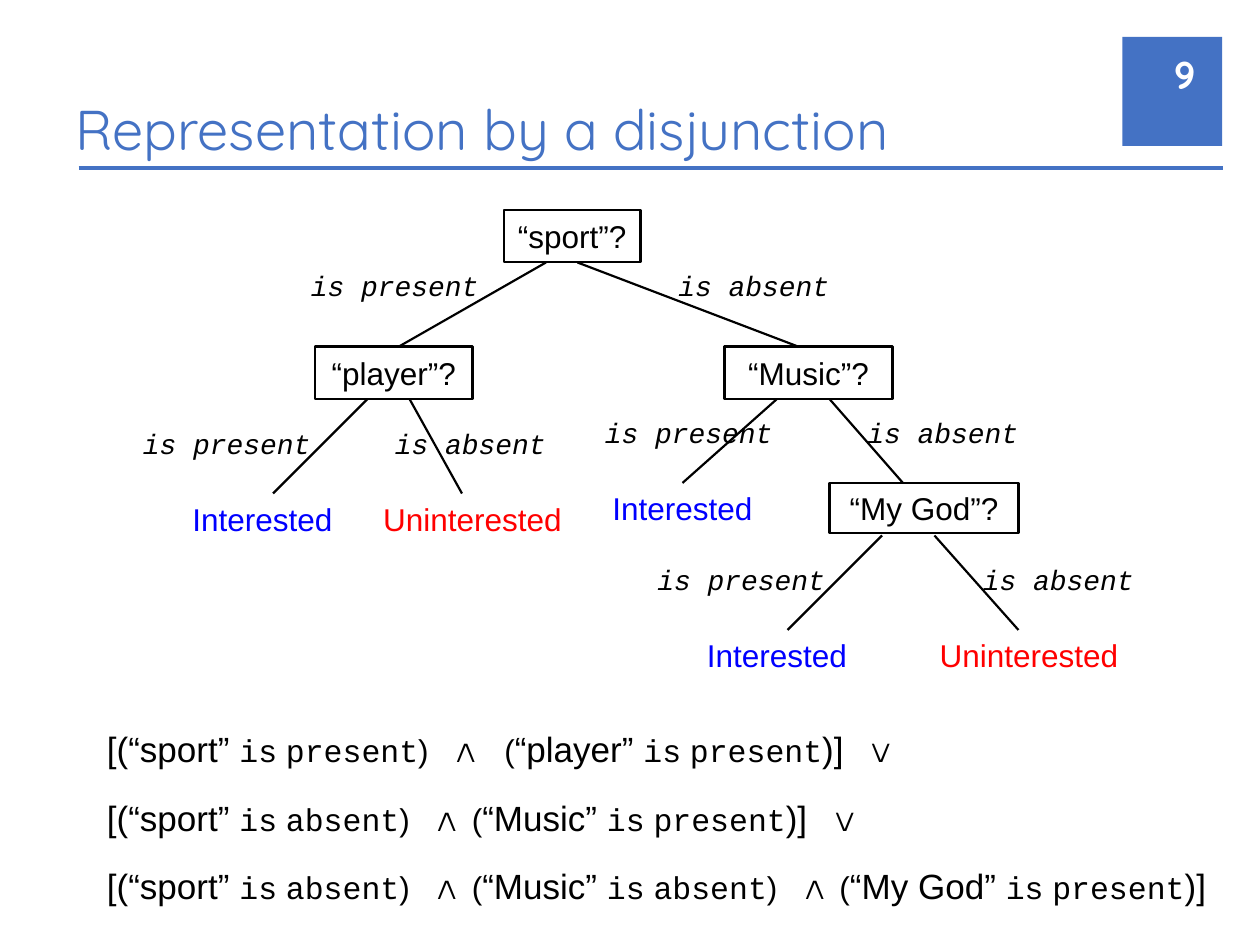
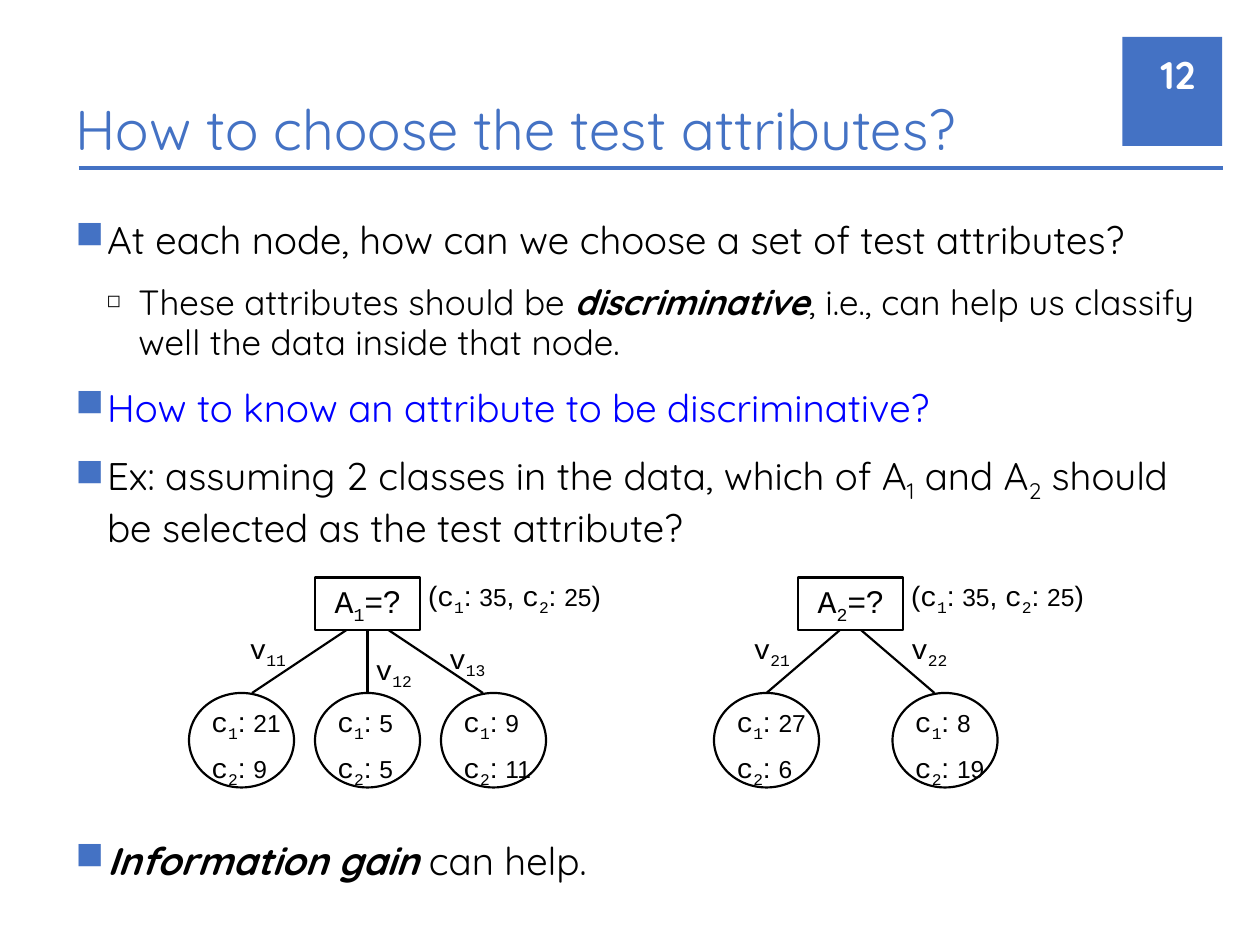
import lxml.etree
import pptx
import pptx.dml.color
import pptx.enum.shapes
import pptx.enum.text
import pptx.oxml.ns
import pptx.util

THEME = {
    "accent": "4472C4", "ink": "000000", "paper": "FFFFFF", "yes": "0000FF", "no": "FF0000",
    "heading": "Quicksand", "sans": "Arial", "mono": "Courier New",
    "title_size": 32, "body_size": 22, "detail_size": 20, "operator_size": 24,
    "node_size": 18, "label_size": 16, "count_size": 14,
    "line_width": 1.25, "rule_width": 2,
}
GRID = pptx.util.Cm(2.54) // 12
ALIGN = pptx.enum.text.PP_ALIGN
ANCHOR = pptx.enum.text.MSO_ANCHOR
SHAPES = pptx.enum.shapes.MSO_SHAPE
qn = pptx.oxml.ns.qn


def font(face, size, color="ink", **extra):
    return {"name": THEME[face], "size": pptx.util.Pt(THEME[size]), "color": THEME[color], **extra}


def add_item(slide, kind, box, paragraphs=(), inset=0.13, align=ALIGN.LEFT, anchor=ANCHOR.TOP,
             line="ink", fill=None, spacing=0):
    if kind == "line":
        shape = slide.shapes.add_connector(pptx.enum.shapes.MSO_CONNECTOR.STRAIGHT,
                                           *[round(value * GRID) for value in box])
        lxml.etree.SubElement(shape._element.spPr, qn("a:effectLst"))
        shape.line.color.rgb = pptx.dml.color.RGBColor.from_string(THEME[line])
        shape.line.width = pptx.util.Pt(THEME["line_width"])
        return shape
    place = [round(value * GRID) for value in box]
    if kind == "text":
        shape = slide.shapes.add_textbox(*place)
    else:
        shape = slide.shapes.add_shape(kind, *place)
        shape.shadow.inherit = False
        shape.fill.background()
        shape.line.fill.background()
        if fill:
            shape.fill.solid()
            shape.fill.fore_color.rgb = pptx.dml.color.RGBColor.from_string(THEME[fill])
        else:
            shape.line.color.rgb = pptx.dml.color.RGBColor.from_string(THEME[line])
            shape.line.width = pptx.util.Pt(THEME["line_width"])
    frame = shape.text_frame
    settings = {"word_wrap": True, "vertical_anchor": anchor,
                "margin_left": pptx.util.Cm(inset), "margin_right": pptx.util.Cm(inset),
                "margin_top": pptx.util.Cm(min(inset, 0.13)),
                "margin_bottom": pptx.util.Cm(min(inset, 0.13))}
    for name, value in settings.items():
        setattr(frame, name, value)
    for index, runs in enumerate(paragraphs):
        paragraph = frame.add_paragraph() if index else frame.paragraphs[0]
        paragraph.alignment = align
        if index:
            paragraph.space_before = pptx.util.Pt(spacing)
        for text, run_format in runs:
            run = paragraph.add_run()
            run.text = text
            for name, value in run_format.items():
                if name == "color":
                    run.font.color.rgb = pptx.dml.color.RGBColor.from_string(value)
                elif name == "baseline":
                    run._r.get_or_add_rPr().set("baseline", str(value))
                else:
                    setattr(run.font, name, value)
    return shape


presentation = pptx.Presentation()
presentation.slide_width = pptx.util.Cm(25.4)
presentation.slide_height = pptx.util.Cm(19.05)

title_font = font("heading", "title_size", "accent")
number_font = font("heading", "body_size", "paper", bold=True)
slides = []
for title, number in [("Representation by a disjunction", "9"),
                      ("How to choose the test attributes?", "12")]:
    slide = presentation.slides.add_slide(presentation.slide_layouts[6])
    add_item(slide, SHAPES.RECTANGLE, (106.9, 3.5, 9.5, 10.4), fill="accent")
    add_item(slide, "text", (6, 6, 111, 10), [[(title, title_font)]], inset=0.25, anchor=ANCHOR.BOTTOM)
    rule = add_item(slide, "line", (7.5, 16, 116.5, 16), line="accent")
    rule.line.width = pptx.util.Pt(THEME["rule_width"])
    add_item(slide, "text", (108.4, 4.7, 6.6, 4.8), [[(number, number_font)]], inset=0.25,
             align=ALIGN.RIGHT, anchor=ANCHOR.MIDDLE)
    slides.append(slide)
tree_slide, choice_slide = slides

node_font = font("sans", "node_size")
for text, box in [("“sport”?", (48, 20, 13, 5)), ("“player”?", (30, 33, 15, 5)),
                  ("“Music”?", (69, 33, 16, 5)), ("“My God”?", (79, 46, 18, 4.8))]:
    add_item(tree_slide, SHAPES.RECTANGLE, box, [[(text, node_font)]], align=ALIGN.CENTER,
             anchor=ANCHOR.MIDDLE)

for branch in [(52, 25, 38, 33), (55, 25, 76, 33), (35, 38, 26, 47), (39, 38, 44, 47),
               (74, 38, 65, 46), (79, 38, 86, 46), (84, 51, 75, 60), (89, 51, 97, 60)]:
    add_item(tree_slide, "line", branch)

branch_font = font("mono", "label_size", italic=True)
for text, width, corners in [("is present", 18, [(29, 25), (13, 40), (57, 39), (62, 53)]),
                             ("is absent", 17, [(64, 25), (37, 40), (82, 39), (93, 53)])]:
    for left, top in corners:
        add_item(tree_slide, "text", (left, top, width, 4.4), [[(text, branch_font)]])

for text, color, width, corners in [("Interested", "yes", 16, [(17, 47), (57, 46), (66, 60)]),
                                    ("Uninterested", "no", 20, [(35, 47), (88, 60)])]:
    for left, top in corners:
        add_item(tree_slide, "text", (left, top, width, 4.8),
                 [[(text, font("sans", "node_size", color))]], align=ALIGN.CENTER)

word_font = font("sans", "detail_size")
value_font = font("mono", "node_size")
gap_font = font("mono", "operator_size")
operator_font = font("mono", "operator_size", bold=True)
formula = []
for clause, and_gap in [([("sport", "present"), ("player", "present")], gap_font),
                        ([("sport", "absent"), ("Music", "present")], font("sans", "operator_size")),
                        ([("sport", "absent"), ("Music", "absent"), ("My God", "present")],
                         font("sans", "operator_size"))]:
    runs = []
    for index, (word, state) in enumerate(clause):
        if index:
            runs += [(")", node_font), (" ", gap_font), ("∧", operator_font), (" ", and_gap),
                     ("(", node_font)]
        else:
            runs.append(("[(", word_font))
        runs += [(f"“{word}” ", word_font), ("is", value_font), (" ", node_font), (state, value_font)]
    runs.append((")]", word_font))
    if len(formula) < 2:
        runs += [(" ", gap_font), ("∨", operator_font)]
    formula.append(runs)
add_item(tree_slide, "text", (9, 68, 110, 20), formula, inset=0.25, spacing=10.5)

body_font = font("heading", "body_size")
detail_font = font("heading", "detail_size")
strong = {"bold": True, "italic": True}
subscript = {"baseline": -25000}
points = [
    [("At each node, how can we choose a set of test attributes?", body_font)],
    [("These attributes should be ", detail_font), ("discriminative", detail_font | strong),
     (", i.e., can help us classify well the data inside that node.", detail_font)],
    [("How to know an attribute to be discriminative?", font("heading", "body_size", "yes"))],
    [("Ex: assuming 2 classes in the data, which of A", body_font), ("1", body_font | subscript),
     (" and A", body_font), ("2", body_font | subscript),
     (" should be selected as the test attribute?", body_font)],
    [("Information gain", body_font | strong), (" can help.", body_font)],
]
body = add_item(choice_slide, "text", (6, 20, 111, 70), points, inset=0.25, spacing=12)
body.text_frame.paragraphs[1].line_spacing = 0.95
body.text_frame.paragraphs[-1].space_before = pptx.util.Pt(164)
for index, paragraph in enumerate(body.text_frame.paragraphs):
    detail = index == 1
    properties = paragraph._p.get_or_add_pPr()
    properties.set("marL", str(pptx.util.Cm(1.27 if detail else 0.64)))
    properties.set("indent", str(-pptx.util.Cm(0.64)))
    bullet_color = lxml.etree.SubElement(properties, qn("a:buClr"))
    lxml.etree.SubElement(bullet_color, qn("a:srgbClr"), val=THEME["ink" if detail else "accent"])
    if detail:
        lxml.etree.SubElement(properties, qn("a:buSzPct"), val="50000")
    lxml.etree.SubElement(properties, qn("a:buChar"), char="◻" if detail else "■")

letter_font = font("mono", "label_size")
mark_font = font("sans", "label_size")
count_font = font("sans", "count_size")
root_font = font("mono", "node_size")
class_runs = [[("c", letter_font), (index, letter_font | subscript), (": ", mark_font)] for index in "12"]
attributes = [
    ("1", 30, [(18, "21", "9", (33, 24), (23, 60)), (30, "5", "5", (35, 35), (35, 62)),
               (42, "9", "11", (37, 46), (42, 61))]),
    ("2", 76, [(68, "27", "6", (80, 73), (71, 60)), (85, "8", "19", (82, 89), (86, 60))]),
]
for attribute, left, children in attributes:
    root = add_item(choice_slide, SHAPES.RECTANGLE, (left, 55, 10, 5),
                    [[("A", root_font), (attribute, root_font | subscript), ("=?", node_font)]],
                    align=ALIGN.CENTER, anchor=ANCHOR.MIDDLE)
    totals = [("(", mark_font), *class_runs[0], ("35", count_font), (", ", mark_font),
              *class_runs[1], ("25", count_font), (")", mark_font)]
    add_item(choice_slide, "text", (left + 10, 55, 18, 3.6), [totals], inset=0.03, align=ALIGN.CENTER)
    for branch, (child_left, first, second, (start, end), corner) in enumerate(children, 1):
        counts = [[*runs, (count, count_font)] for runs, count in zip(class_runs, (first, second))]
        add_item(choice_slide, "text", (child_left + 2, 67, 8, 7), counts, inset=0.03, spacing=4)
        leaf = add_item(choice_slide, SHAPES.OVAL, (child_left, 66, 10, 9))
        edge = add_item(choice_slide, "line", (start, 60, end, 66))
        if start == left + 5:
            edge.begin_connect(root, 2)
        if end == child_left + 5:
            edge.end_connect(leaf, 0)
        add_item(choice_slide, "text", (*corner, 5, 3.6),
                 [[("v", letter_font), (f"{attribute}{branch}", letter_font | subscript)]],
                 inset=0.03, align=ALIGN.CENTER)

presentation.save("out.pptx")
